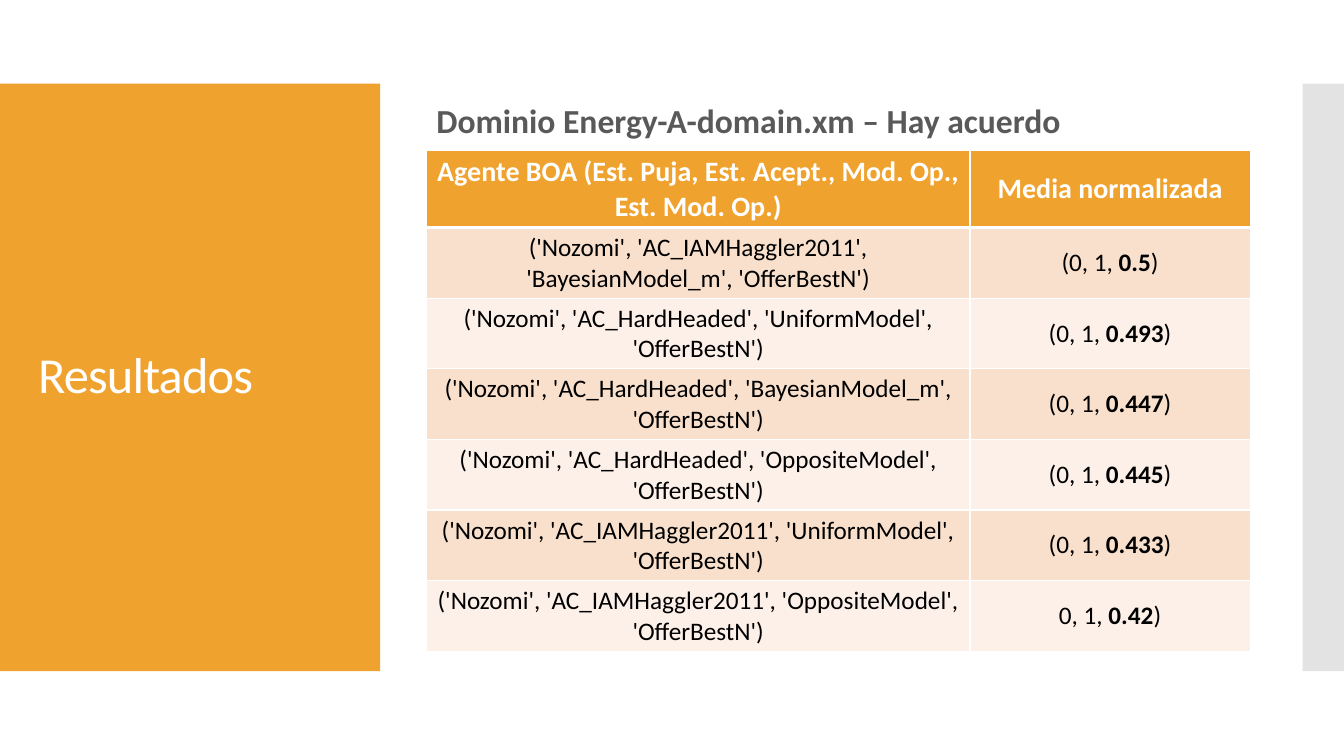
from lxml.etree import SubElement
from pptx import Presentation
from pptx.dml.color import RGBColor
from pptx.enum.shapes import MSO_SHAPE as Shape
from pptx.enum.text import MSO_ANCHOR as Anchor, PP_ALIGN as Align
from pptx.oxml import parse_xml
from pptx.oxml.ns import nsdecls, qn
from pptx.util import Inches, Pt

COLORS = {"orange": "F0A22E", "gray": "C8C8C8", "white": "FFFFFF", "heading": "595959",
          "black": "000000", "band_dark": "F9E0CD", "band_light": "FCF0E8"}
FORMATS = {
    "title": {"size": Pt(36), "bold": False, "color": "white"},
    "heading": {"size": Pt(24), "bold": True, "color": "heading"},
    "header": {"size": Pt(20), "bold": True, "color": "white"},
    "body": {"size": Pt(18), "bold": False, "color": "black"},
    "score": {"size": Pt(18), "bold": True, "color": "black"},
}
HEADERS = ["Agente BOA (Est. Puja, Est. Acept., Mod. Op., Est. Mod. Op.)", "Media normalizada"]
# Acceptance strategy, opponent model, text before the score, score
RESULTS = [
    ("AC_IAMHaggler2011", "BayesianModel_m", "(0, 1, ", "0.5"),
    ("AC_HardHeaded", "UniformModel", "(0, 1, ", "0.493"),
    ("AC_HardHeaded", "BayesianModel_m", "(0, 1, ", "0.447"),
    ("AC_HardHeaded", "OppositeModel", "(0, 1, ", "0.445"),
    ("AC_IAMHaggler2011", "UniformModel", "(0, 1, ", "0.433"),
    ("AC_IAMHaggler2011", "OppositeModel", "0, 1, ", "0.42"),
]


def rgb(color):
    return RGBColor.from_string(COLORS[color])


def add_run(paragraph, text, style):
    run = paragraph.add_run()
    run.text = text
    run.font.name = "Calibri"
    for attribute, value in FORMATS[style].items():
        if attribute == "color":
            run.font.color.rgb = rgb(value)
        else:
            setattr(run.font, attribute, value)
    return run


def add_panel(slide, box, color):
    panel = slide.shapes.add_shape(Shape.RECTANGLE, *map(Inches, box))
    panel.shadow.inherit = False
    panel.fill.solid()
    panel.fill.fore_color.rgb = rgb(color)
    panel.line.fill.background()
    return panel


def add_text(slide, box, text, style):
    frame = slide.shapes.add_textbox(*map(Inches, box)).text_frame
    frame.word_wrap = True
    frame.vertical_anchor = Anchor.MIDDLE
    paragraph = frame.paragraphs[0]
    paragraph.line_spacing = 0.9
    return add_run(paragraph, text, style)


def set_borders(cell, widths):
    properties = cell._tc.get_or_add_tcPr()
    for index, (side, width) in enumerate(widths.items()):
        properties.insert(index, parse_xml(
            f'<a:ln{side} {nsdecls("a")} w="{Pt(width)}"><a:solidFill>'
            f'<a:srgbClr val="{COLORS["white"]}"/></a:solidFill></a:ln{side}>'))


def fill_cell(cell, parts, color, widths):
    cell.fill.solid()
    cell.fill.fore_color.rgb = rgb(color)
    cell.vertical_anchor = Anchor.MIDDLE
    paragraph = cell.text_frame.paragraphs[0]
    paragraph.alignment = Align.CENTER
    for text, style in parts:
        add_run(paragraph, text, style)
    set_borders(cell, widths)


def add_title_panel(slide, box):
    left, top, width, height = box
    add_panel(slide, box, "orange")
    title = add_text(slide, (left + 0.28, top + 0.4, width - 0.55, height - 0.8),
                     "Resultados", "title")
    title.font._element.set("spc", "-60")


def add_side_strip(slide, box):
    strip = add_panel(slide, box, "gray")
    fill_color = strip._element.spPr.find(qn("a:solidFill"))[0]
    SubElement(fill_color, qn("a:alpha")).set("val", "50000")


def add_results(slide, box):
    left, top, width, height = box
    heading_height, score_width = 0.55, 2.78
    add_text(slide, (left, top, 8, heading_height),
             "Dominio Energy-A-domain.xm – Hay acuerdo", "heading")

    # Table below the heading; rows grow to fit two lines
    row_count = len(RESULTS) + 1
    row_height = 0.63
    table = slide.shapes.add_table(
        row_count, 2, Inches(left), Inches(top + heading_height),
        Inches(width), Inches(row_height * row_count)).table
    for column, column_width in zip(table.columns, (width - score_width, score_width)):
        column.width = Inches(column_width)
    for row in table.rows:
        row.height = Inches(row_height)

    # Header row with a thick lower rule
    thin = {"L": 1, "R": 1, "T": 1, "B": 1}
    for column, text in enumerate(HEADERS):
        fill_cell(table.cell(0, column), [(text, "header")], "orange", {**thin, "B": 3})

    # Banded result rows
    for row, (acceptance, model, prefix, score) in enumerate(RESULTS, start=1):
        band = "band_dark" if row % 2 else "band_light"
        widths = {**thin, "T": 3} if row == 1 else thin
        agent = f"('Nozomi', '{acceptance}', '{model}', 'OfferBestN')"
        fill_cell(table.cell(row, 0), [(agent, "body")], band, widths)
        fill_cell(table.cell(row, 1),
                  [(prefix, "body"), (score, "score"), (")", "body")], band, widths)


presentation = Presentation()
presentation.slide_width, presentation.slide_height = Inches(13.33), Inches(7.5)
results_slide = presentation.slides.add_slide(presentation.slide_layouts[6])
add_title_panel(results_slide, (0, 0.83, 3.77, 5.83))
add_side_strip(results_slide, (12.92, 0.83, 0.41, 5.83))
add_results(results_slide, (4.23, 0.94, 8.17, 5.52))
presentation.save("out.pptx")
